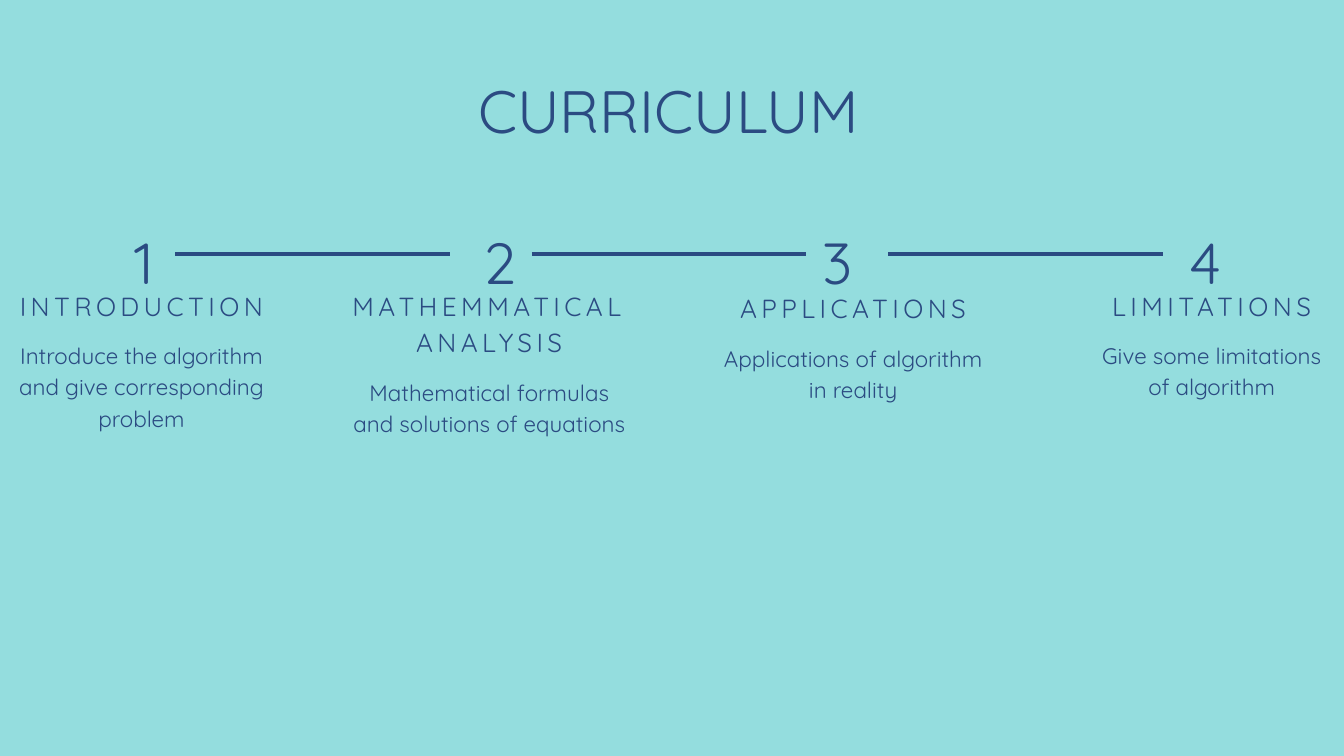
"""Build the curriculum slide: four numbered steps joined by rules."""
from dataclasses import dataclass

from lxml import etree
from pptx import Presentation, util as u
from pptx.dml.color import RGBColor
from pptx.enum import shapes, text
from pptx.oxml.ns import qn

COLORS = {"background": "94DDDE", "ink": "2B4B82"}
FONT = "Quicksand"
COLUMNS, ROWS = 20, 11.25
CELL = u.Inches(1)
POINTS_PER_ROW = 72

NUMBER_ROW, RULE_ROW = 3.2, 3.78
NUMBER_SPAN = 0.93
RULE_START, RULE_SPAN, RULE_STEP = 2.61, 4.08, 5.305
HEADING_LEADING, DETAIL_LEADING = 39.2, 33.6
HEADING_GAP = 0.24


@dataclass(frozen=True)
class Step:
    """One curriculum step, placed in grid columns and rows."""
    heading: str
    details: tuple[str, ...]
    column: float
    span: float
    number_column: float
    row: float = 4.24
    heading_lines: int = 1
    detail_lines: int = 2


STEPS = (
    Step("INTRODUCTION",
         ("Introduce the algorithm", "and give corresponding", "problem"),
         0, 4.21, 1.68, detail_lines=3),
    Step("MATHEMMATICAL ANALYSIS",
         ("Mathematical formulas", "and solutions of equations"),
         4.99, 4.58, 6.97, heading_lines=2),
    Step("APPLICATIONS", ("Applications of algorithm in reality",),
         10.74, 3.91, 12, row=4.28),
    Step("LIMITATIONS", ("Give some limitations of algorithm",),
         16.27, 3.52, 17.48),
)


def grid(cells: float) -> int:
    """Turn grid cells into a length."""
    return round(cells * CELL)


def ink() -> RGBColor:
    """Return the colour shared by text and rules."""
    return RGBColor.from_string(COLORS["ink"])


def write(slide, *paragraphs: str, column: float, row: float, span: float,
          size: float, leading: float, lines: int = 1,
          tracking: float = 0) -> None:
    """Write centred paragraphs with the given format."""
    height = lines * leading / POINTS_PER_ROW
    box = slide.shapes.add_textbox(grid(column), grid(row), grid(span), grid(height))
    frame = box.text_frame
    frame.word_wrap = True
    frame.auto_size = text.MSO_AUTO_SIZE.SHAPE_TO_FIT_TEXT
    frame.margin_left = frame.margin_right = 0
    frame.margin_top = frame.margin_bottom = 0
    for index, words in enumerate(paragraphs):
        paragraph = frame.add_paragraph() if index else frame.paragraphs[0]
        paragraph.alignment = text.PP_ALIGN.CENTER
        paragraph.line_spacing = u.Pt(leading)
        run = paragraph.add_run()
        run.text = words
        run.font.name = FONT
        run.font.size = u.Pt(size)
        run.font.color.rgb = ink()
        if tracking:
            run.font._element.set("spc", str(round(tracking * 100)))


def draw_rule(slide, column: float) -> None:
    """Draw the rule between two step numbers."""
    rule = slide.shapes.add_connector(
        shapes.MSO_CONNECTOR.STRAIGHT, grid(column), grid(RULE_ROW),
        grid(column + RULE_SPAN), grid(RULE_ROW))
    rule.line.color.rgb = ink()
    rule.line.width = u.Pt(4.23)
    etree.SubElement(rule._element.spPr, qn("a:effectLst"))


def draw_step(slide, number: int, step: Step) -> None:
    """Draw a step's number, heading and details."""
    write(slide, str(number), column=step.number_column, row=NUMBER_ROW,
          span=NUMBER_SPAN, size=62, leading=86.8, tracking=10.6)
    write(slide, step.heading, column=step.column, row=step.row, span=step.span,
          size=28, leading=HEADING_LEADING, lines=step.heading_lines, tracking=4.8)
    heading_height = step.heading_lines * HEADING_LEADING / POINTS_PER_ROW
    write(slide, *step.details, column=step.column,
          row=step.row + heading_height + HEADING_GAP, span=step.span,
          size=24, leading=DETAIL_LEADING, lines=step.detail_lines)


def main() -> None:
    """Build and save the slide."""
    deck = Presentation()
    deck.slide_width, deck.slide_height = grid(COLUMNS), grid(ROWS)
    slide = deck.slides.add_slide(deck.slide_layouts[6])
    backdrop = slide.background.fill
    backdrop.solid()
    backdrop.fore_color.rgb = RGBColor.from_string(COLORS["background"])
    write(slide, "CURRICULUM", column=1.12, row=1.1, span=17.65,
          size=64, leading=76.8)
    for number, step in enumerate(STEPS, start=1):
        draw_step(slide, number, step)
    for gap in range(len(STEPS) - 1):
        draw_rule(slide, RULE_START + gap * RULE_STEP)
    deck.save("out.pptx")


if __name__ == "__main__":
    main()
